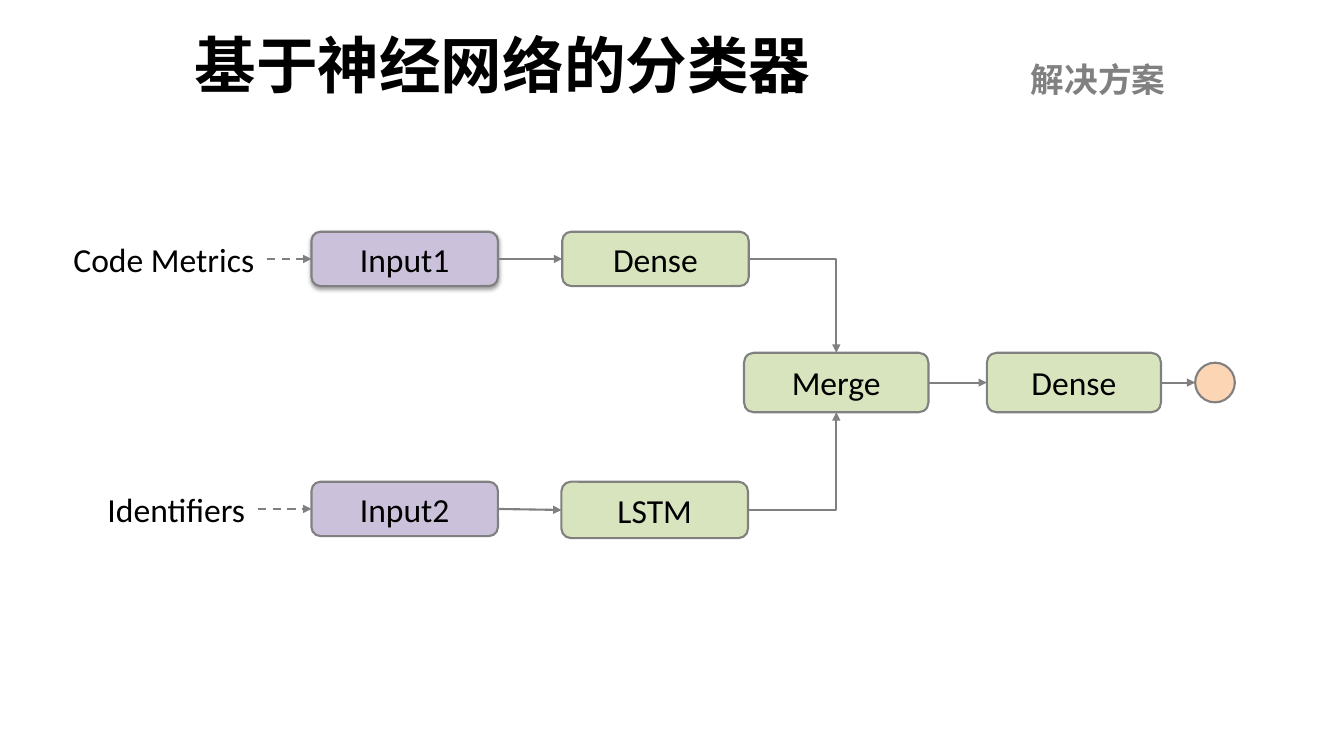
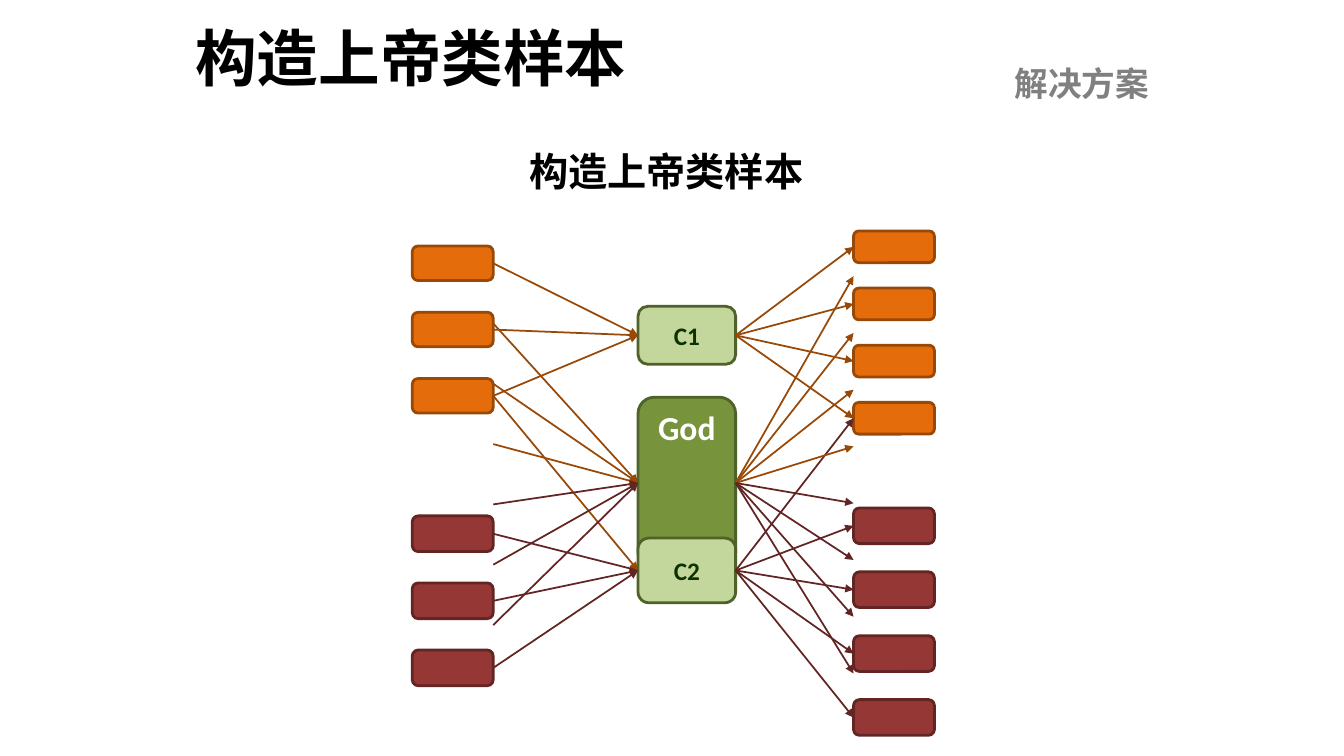
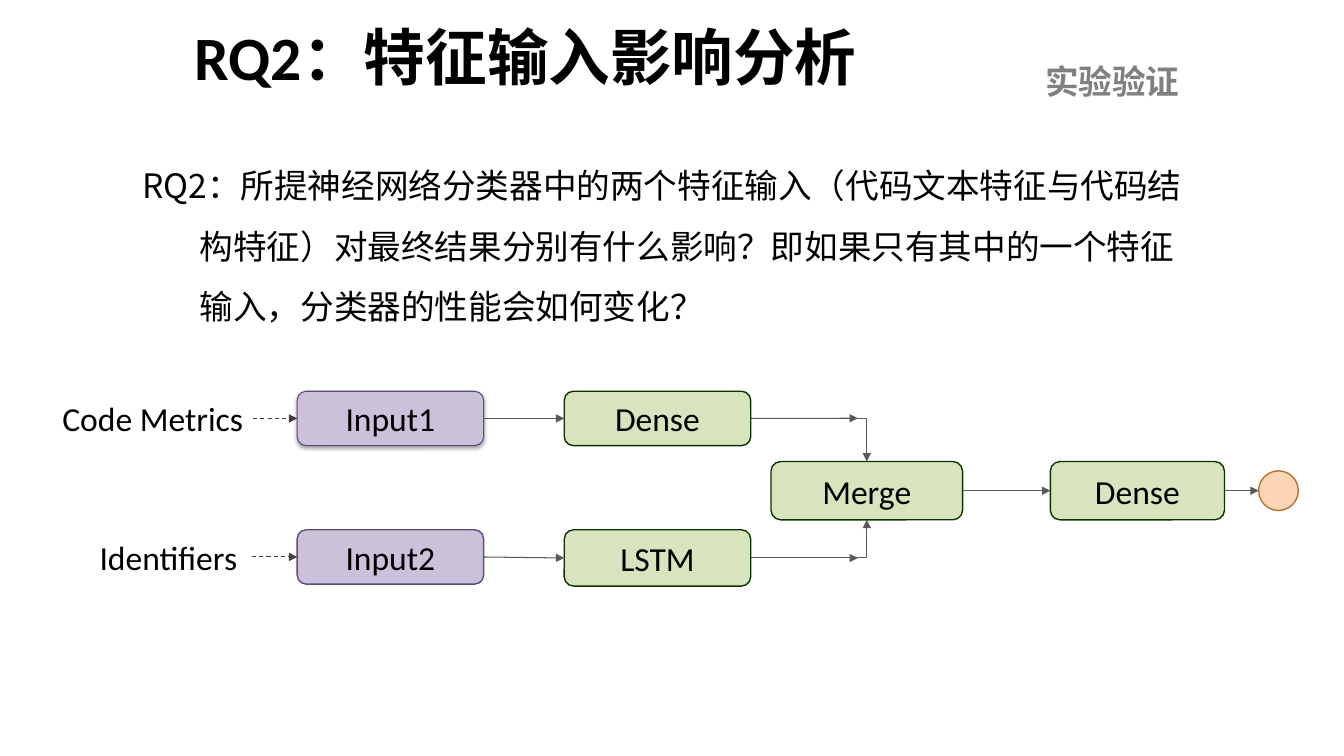
"""Builds three slides on a neural classifier and its samples."""
from lxml import etree
from pptx import Presentation
from pptx import util as u
from pptx.dml.color import RGBColor
from pptx.enum import dml, shapes, text
from pptx.oxml import ns

HAN, LATIN = "Noto Sans CJK SC", "Calibri"
BLACK, GRAY, WHITE = "000000", "808080", "FFFFFF"
GREEN, PURPLE, PEACH = "D7E4BD", "CCC1DA", "FCD5B5"
ORANGE, RUST = "E46C0A", "984807"
RED, WINE = "953735", "632523"
LEAF, MOSS, PINE, DARK = "C3D69B", "77933C", "4F6228", "0D3200"
ROUND, OVAL = shapes.MSO_SHAPE.ROUNDED_RECTANGLE, shapes.MSO_SHAPE.OVAL
LEFT, CENTER = text.PP_ALIGN.LEFT, text.PP_ALIGN.CENTER
TOP, MIDDLE = text.MSO_ANCHOR.TOP, text.MSO_ANCHOR.MIDDLE
N, W, S, E = range(4)


def paint(target, color):
    """Gives a fill or font colour from a hex string."""
    if hasattr(target, "solid"):
        target.solid()
        target.fore_color.rgb = RGBColor.from_string(color)
    else:
        target.color.rgb = RGBColor.from_string(color)


def add(parent, tag, **attrs):
    """Appends a drawing element to a parent."""
    return etree.SubElement(parent, ns.qn(tag), **attrs)


def write(frame, words, size=24, color=BLACK, bold=False, font=LATIN,
          align=LEFT, anchor=TOP, wrap=True):
    """Writes one formatted paragraph and returns it."""
    frame.auto_size = text.MSO_AUTO_SIZE.NONE
    frame.word_wrap, frame.vertical_anchor = wrap, anchor
    para = frame.paragraphs[0]
    para.alignment = align
    run = para.add_run()
    run.text = words
    run.font.size, run.font.bold = u.Pt(size), bold
    paint(run.font, color)
    run.font.name = font
    add(run.font._element, "a:ea", typeface=HAN)
    return para


def place(item, at):
    """Moves and sizes a placeholder in centimetres."""
    item.left, item.top, item.width, item.height = map(u.Cm, at)


def note(page, at, words, **look):
    """Adds a text box."""
    item = page.shapes.add_textbox(*map(u.Cm, at))
    write(item.text_frame, words, **look)
    return item


def start(deck, layout, title, at, tag, spot):
    """Adds a slide with its title and section tag."""
    page = deck.slides.add_slide(deck.slide_layouts[layout])
    place(page.shapes.title, at)
    write(page.shapes.title.text_frame, title, size=44, bold=True,
          anchor=MIDDLE)
    note(page, (*spot, 7.75, 1.27), tag, color=GRAY, bold=True, font=HAN)
    return page


def box(page, at, fill, line, words="", kind=ROUND, anchor=MIDDLE, **look):
    """Adds a filled shape, with centred words if any."""
    item = page.shapes.add_shape(kind, *map(u.Cm, at))
    item.shadow.inherit = False
    paint(item.fill, fill)
    color, width = line
    paint(item.line.fill, color)
    item.line.width = u.Pt(width)
    if words:
        write(item.text_frame, words, align=CENTER, anchor=anchor, **look)
    return item


def shade(item):
    """Gives a shape a soft shadow below."""
    glow = add(item._element.spPr.find(ns.qn("a:effectLst")), "a:outerShdw",
               blurRad=str(u.Pt(3.1)), dist=str(u.Pt(1.6)), dir="5400000",
               rotWithShape="0")
    add(add(glow, "a:srgbClr", val=BLACK), "a:alpha", val="38000")


def arrow(page, tail, head, line, dash=False, bent=False):
    """Draws an arrow between (shape, side) pairs or (x, y) points."""
    kind = shapes.MSO_CONNECTOR.ELBOW if bent else shapes.MSO_CONNECTOR.STRAIGHT
    wire = page.shapes.add_connector(kind, 0, 0, 0, 0)
    if hasattr(tail[0], "shape_id"):
        wire.begin_connect(*tail)
    else:
        wire.begin_x, wire.begin_y = map(u.Cm, tail)
    if hasattr(head[0], "shape_id"):
        wire.end_connect(*head)
    else:
        wire.end_x, wire.end_y = map(u.Cm, head)
    color, width = line
    paint(wire.line.fill, color)
    wire.line.width = u.Pt(width)
    if dash:
        wire.line.dash_style = dml.MSO_LINE.DASH
    form = wire._element.spPr
    if bent:
        form.find(ns.qn("a:prstGeom")).set("prst", "bentConnector2")
    add(form.find(ns.qn("a:ln")), "a:tailEnd", type="triangle")
    add(form, "a:effectLst")


def branch(page, label, names, cols, top, tall, look, rim):
    """Draws one input row and returns its last box."""
    left, right, first, last = cols
    tag = note(page, (left, top + 0.05, right - left, 1.27), label)
    tag.text_frame.margin_right = 0
    feed = box(page, (first, top, 4.7, 1.37), PURPLE, rim, names[0])
    layer = box(page, (last, top, 4.7, tall), GREEN, look["green"], names[1])
    arrow(page, (tag, E), (feed, W), look["dash"], dash=True)
    arrow(page, (feed, E), (layer, W), look["wire"])
    if rim == look["rims"][0]and names[0] == "Input1":
        shade(feed)
    return layer


def net(page, rows, tops, mid, look):
    """Draws the two-input network and returns its branch ends."""
    labels = ("Code Metrics", "Identifiers")
    names = (("Input1", "Dense"), ("Input2", "LSTM"))
    ends = [branch(page, *part, look, rim) for part, rim in zip(
        zip(labels, names, rows, tops, (1.37, 1.42)), look["rims"])]
    top, tall, (join, wide), last, dot = mid
    merge = box(page, (join, top, wide, tall), GREEN, look["green"], "Merge")
    dense = box(page, (last, top, 4.39, tall), GREEN, look["green"], "Dense")
    out = box(page, (dot, top + tall / 2 - 0.5, 1, 1), PEACH, look["dot"],
              kind=OVAL)
    for end, side in zip(ends, (N, S)):
        arrow(page, (end, E), (merge, side), look["wire"], bent=True)
    arrow(page, (merge, E), (dense, W), look["wire"])
    arrow(page, (dense, E), (out, W), look["wire"])
    return ends


def stack(page, left, top, step, tall, count, fill, line):
    """Adds a column of equal boxes."""
    return [box(page, (left, top + i * step, 2.04, tall), fill, (line, 2))
            for i in range(count)]


def model(deck):
    """Builds the classifier slide."""
    page = start(deck, 5, "基于神经网络的分类器", (4.65, 0.56, 17.48, 2.11),
                 "解决方案", (25.73, 1.37))
    line = (GRAY, 1.5)
    look = dict(green=line, dot=line, wire=line, dash=line, rims=(line, line))
    net(page, ((1.6, 6.73, 7.85, 14.17), (2.46, 6.5, 7.85, 14.15)),
        (5.84, 12.14), (8.89, 1.5, (18.75, 4.65), 24.87, 30.12), look)


def sample(deck):
    """Builds the God class sample slide."""
    page = start(deck, 5, "构造上帝类样本", (4.67, 0.38, 12.32, 2.11),
                 "解决方案", (25.32, 1.45))
    note(page, (13.03, 3.58, 7.52, 1.45), "构造上帝类样本", size=28, bold=True,
         font=HAN, align=CENTER, wrap=False)
    god = box(page, (16.08, 10.01, 2.46, 4.32), MOSS, (PINE, 2), "God",
              color=WHITE, bold=True, anchor=TOP)
    one, two = [box(page, (16.08, top, 2.46, tall), LEAF, (PINE, 2), name,
                    size=18, color=DARK, bold=True)
                for name, top, tall in (("C1", 7.72, 1.46),
                                        ("C2", 13.56, 1.63))]
    near, far = 10.39, 21.51
    warm = stack(page, near, 6.2, 1.67, 0.87, 3, ORANGE, RUST)
    cool = stack(page, near, 13.1 - 0.1, 1.69, 0.9, 3, RED, WINE)
    calls = stack(page, far, 5.82, 1.44, 0.8, 4, ORANGE, RUST)
    uses = stack(page, far, 12.8, 1.61, 0.9, 4, RED, WINE)
    for core, ins, outs, color in ((one, warm, calls, RUST),
                                   (two, cool, uses, WINE)):
        for item in ins:
            arrow(page, (item, E), (core, W), (color, 1.25))
        for item in outs:
            arrow(page, (core, E), (item, W), (color, 1.25))
    arrow(page, (two, E), (calls[-1], W), (WINE, 1.25))
    arrow(page, (warm[-1], E), (two, W), (RUST, 1.25))
    for i in range(6):
        arrow(page, (near + 2.04, 8.15 + 1.52 * i), (god, W),
              (RUST if i < 3 else WINE, 1.25))
    for i in range(8):
        arrow(page, (god, E), (far, 6.96 + 1.43 * i),
              (RUST if i < 4 else WINE, 1.25))


def study(deck):
    """Builds the feature input slide."""
    page = start(deck, 1, "RQ2：特征输入影响分析", (4.65, 0.36, 19.08, 2.11),
                 "实验验证", (26.09, 1.42))
    body = page.placeholders[1]
    place(body, (3.33, 3.53, 26.82, 11.4))
    para = write(body.text_frame, "RQ2：所提神经网络分类器中的两个特征输入"
                 "（代码文本特征与代码结构特征）对最终结果分别有什么影响？"
                 "即如果只有其中的一个特征输入，分类器的性能会如何变化？",
                 font=HAN)
    form = para._p.get_or_add_pPr()
    form.set("marL", str(u.Cm(1.45)))
    form.set("indent", str(u.Cm(-1.45)))
    add(form, "a:buNone")
    para.line_spacing, para.space_before = 1.5, u.Pt(0)
    wire = ("595959", 0.75)
    look = dict(green=(DARK, 1), dot=("B76F34", 1), wire=wire,
                dash=("404040", 0.75), rims=(("604A7B", 0.75), ("5F4A78", 1)))
    ends = net(page, ((1.32, 6.38, 7.49, 14.22), (2.26, 6.35, 7.49, 14.22)),
               (9.86, 13.35), (11.63, 1.47, (19.43, 4.83), 26.47, 31.72), look)
    for end, level in zip(ends, (10.54, 14.06)):
        arrow(page, (end, E), (21.62, level), wire)


def main():
    """Builds and saves the deck."""
    deck = Presentation()
    deck.slide_width, deck.slide_height = u.Cm(33.87), u.Cm(19.05)
    for build in (model, sample, study):
        build(deck)
    deck.save("out.pptx")


if __name__ == "__main__":
    main()
